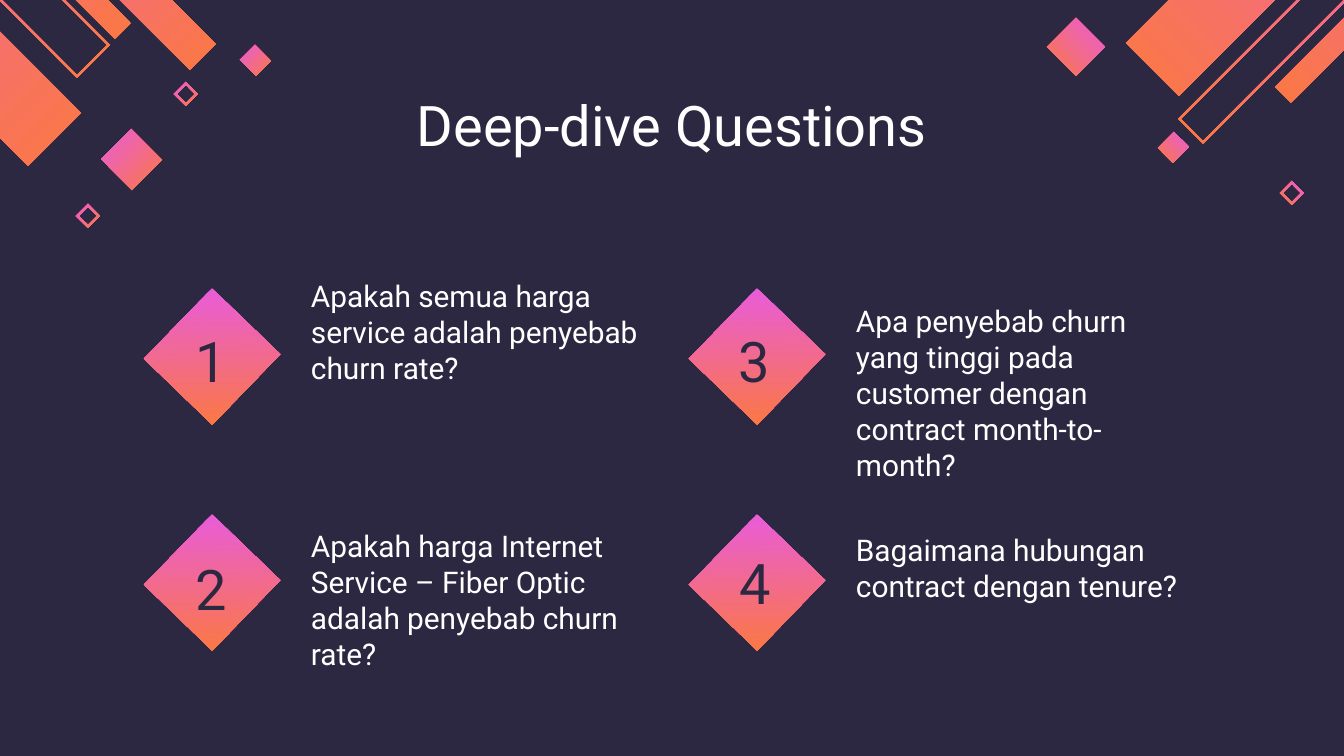
from typing import NamedTuple

from pptx import Presentation
from pptx.dml.color import RGBColor
from pptx.enum.shapes import MSO_SHAPE
from pptx.enum.text import MSO_ANCHOR, PP_ALIGN
from pptx.util import Pt

PX = 914400 / 134.4  # EMU in one px
WIDE, HIGH = 1344, 756
DARK, WHITE, PINK, AMBER = "2D2842", "FFFFFF", "E85CDB", "FB7843"
LEFT, RIGHT = -1, 1
RIM = 3  # thickness of a hollow bar's outline
PAD = 13


class Bar(NamedTuple):
    """A slanted bar, given by its lowest corner; side is where it rises to."""
    x: int
    y: int
    short: int
    long: int
    side: int
    hollow: bool = False


class Item(NamedTuple):
    """A numbered question: its cell, then its number and text positions."""
    col: int
    row: int
    num: tuple[int, int]
    top: int
    high: int
    text: str
    inset: int = PAD


BARS = [
    Bar(1203, 144, 25, 299, RIGHT, True),
    Bar(1173, 163, 15, 16, RIGHT),
    Bar(1076, 76, 29, 29, RIGHT),
    Bar(28, 166, 53, 352, LEFT),
    Bar(77, 78, 33, 262, LEFT, True),
    Bar(190, 70, 26, 279, LEFT),
    Bar(115, 39, 16, 315, LEFT),
    Bar(186, 106, 12, 12, LEFT, True),
    Bar(132, 190, 30, 31, LEFT),
    Bar(256, 76, 15, 16, LEFT),
    Bar(1179, 96, 53, 352, RIGHT),
    Bar(1292, 205, 12, 12, RIGHT, True),
    Bar(1291, 103, 16, 315, RIGHT),
    Bar(88, 228, 12, 12, LEFT, True),
]
ITEMS = [
    Item(0, 0, (167, 314), 265, 169,
         "Apakah semua harga service adalah penyebab churn rate?"),
    Item(0, 1, (167, 542), 515, 153,
         "Apakah harga Internet Service – Fiber Optic adalah penyebab churn rate?"),
    Item(1, 0, (712, 314), 290, 137,
         "Apa penyebab churn yang tinggi pada customer dengan contract month-to-month?", 8),
    Item(1, 1, (711, 536), 519, 110,
         "Bagaimana hubungan contract dengan tenure?"),
]


def emu(*sizes: int) -> list[int]:
    return [round(size * PX) for size in sizes]


def color(code: str) -> RGBColor:
    return RGBColor.from_string(code)


def blend(shape, first: str, last: str, angle: int) -> None:
    """Fill a shape with a two-colour gradient and no outline."""
    shape.fill.gradient()
    shape.fill.gradient_angle = angle
    for stop, code, place in zip(shape.fill.gradient_stops, (first, last), (0, 1)):
        stop.color.rgb = color(code)
        stop.position = place
    shape.line.fill.background()
    shape.shadow.inherit = False


def corners(x: int, y: int, short: int, long: int, side: int) -> list[tuple[int, int]]:
    far = x + side * long
    return [(x, y), (far, y - long),
            (far - side * short, y - long - short), (x - side * short, y - short)]


def draw_bar(slide, bar: Bar) -> None:
    rim = corners(bar.x, bar.y, bar.short, bar.long, bar.side)
    pen = slide.shapes.build_freeform(*rim[0], scale=PX)
    pen.add_line_segments(rim[1:])
    if bar.hollow:
        hole = corners(bar.x, bar.y - RIM, bar.short - RIM, bar.long - RIM, bar.side)
        pen.move_to(*hole[0])
        pen.add_line_segments(hole[1:])
    blend(pen.convert_to_shape(), AMBER, PINK, 45 if bar.side == RIGHT else 135)


def write(slide, text: str, x: int, y: int, wide: int, high: int, *, size: int = 16,
          ink: str = WHITE, align=PP_ALIGN.LEFT, inset: int = PAD) -> None:
    frame = slide.shapes.add_textbox(*emu(x, y, wide, high)).text_frame
    frame.word_wrap = True
    frame.vertical_anchor = MSO_ANCHOR.TOP
    frame.margin_left, frame.margin_top = emu(inset, PAD)
    frame.margin_right, frame.margin_bottom = emu(PAD, PAD)
    para = frame.paragraphs[0]
    para.alignment = align
    run = para.add_run()
    run.text = text
    run.font.name = "Roboto"
    run.font.size = Pt(size)
    run.font.color.rgb = color(ink)


def draw_item(slide, item: Item) -> None:
    shift = item.col * 545
    tile = slide.shapes.add_shape(
        MSO_SHAPE.RECTANGLE, *emu(163 + shift, 309 + item.row * 226, 98, 95))
    tile.rotation = 134
    blend(tile, PINK, AMBER, 45)
    number = str(item.col * 2 + item.row + 1)
    write(slide, number, *item.num, 89, 85, size=30, ink=DARK,
          align=PP_ALIGN.CENTER, inset=item.inset)
    write(slide, item.text, 298 + shift, item.top, 356, item.high)


def main() -> None:
    deck = Presentation()
    deck.slide_width, deck.slide_height = emu(WIDE, HIGH)
    slide = deck.slides.add_slide(deck.slide_layouts[6])

    # Background and corner ornaments
    slide.background.fill.solid()
    slide.background.fill.fore_color.rgb = color(DARK)
    for bar in BARS:
        draw_bar(slide, bar)

    # Title and questions
    write(slide, "Deep-dive Questions", 88, 78, 1168, 85, size=30, align=PP_ALIGN.CENTER)
    for item in ITEMS:
        draw_item(slide, item)

    deck.save("out.pptx")


if __name__ == "__main__":
    main()
